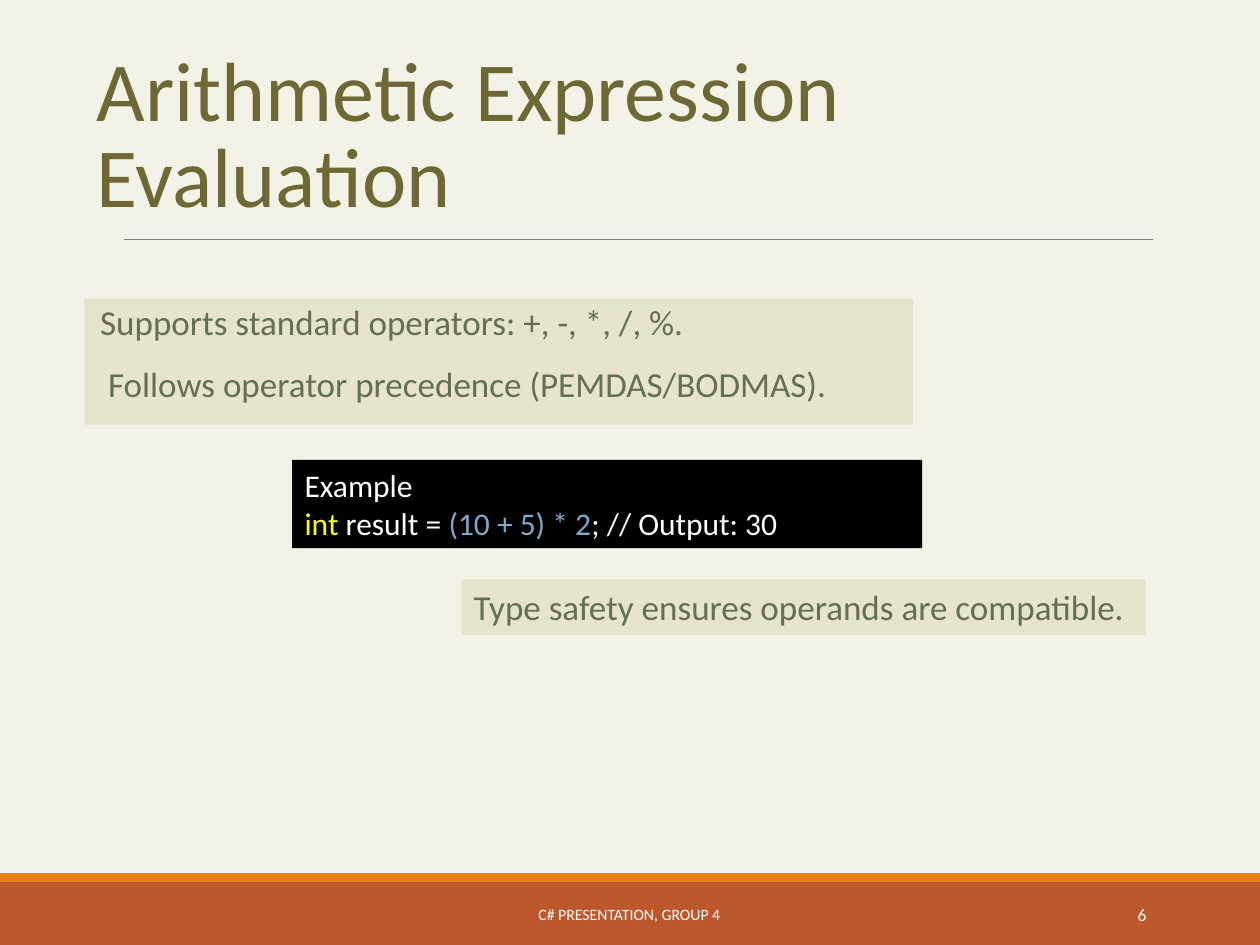
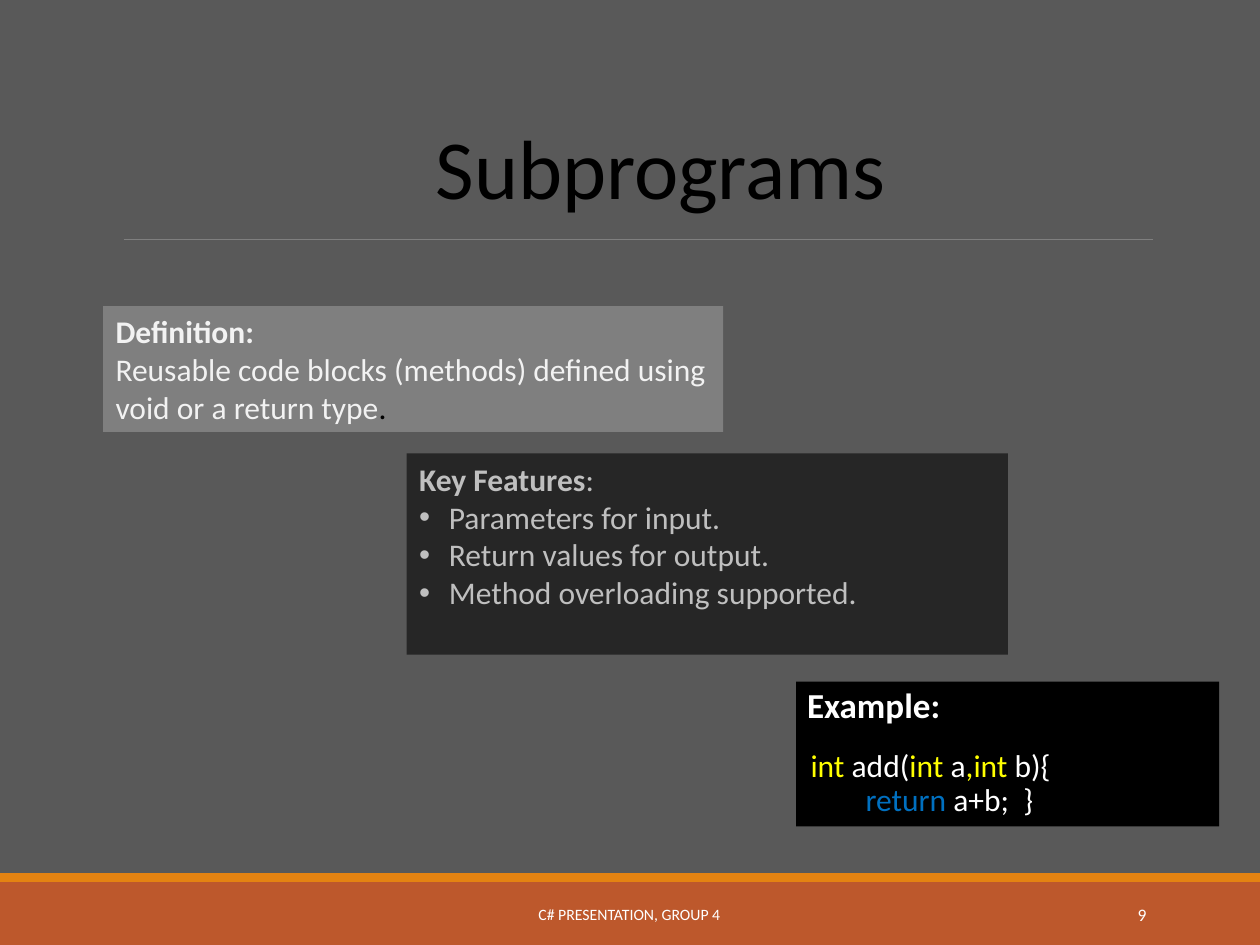
from pptx import Presentation
from pptx.dml.color import RGBColor
from pptx.enum.shapes import MSO_CONNECTOR, MSO_SHAPE
from pptx.enum.text import MSO_ANCHOR, PP_ALIGN
from pptx.oxml.ns import qn
from pptx.util import Cm, Pt
from lxml.etree import SubElement

FONT = "Calibri"
WIDTH, HEIGHT = 25.4, 19.05
WHITE, BLACK, YELLOW = "FFFFFF", "000000", "FFFF00"
SAND, MOSS, OLIVE = "E7E4CC", "637052", "6D6834"
PALE, SILVER, NUMBER_BLUE, KEYWORD_BLUE = "F2F2F2", "BFBFBF", "7EA9CA", "0070C0"
RULE = "7F7F7F"

BANDS = [((0, 17.78, WIDTH, 1.27), "BD582C"), ((0, 17.6, WIDTH, 0.18), "E48312")]
FOOTER = "C# PRESENTATION, GROUP 4"
FOOTER_AT = (7.67, 17.93, 10.03, 1.02)
NUMBER_AT = (20.62, 17.93, 2.74, 1.02)
LOOSE = dict(line=0.9, after=2)


def para(*runs, **options):
    return runs, options


SLIDES = [
    dict(
        background="F3F2E6",
        number="6",
        title="Arithmetic Expression Evaluation",
        title_at=(1.7, 2.54, 22.68, 2.11),
        title_color=OLIVE,
        title_margin=0,
        boxes=[
            dict(at=(1.7, 6.02, 16.71, 2.54), fill=SAND, size=20, inset=0, paragraphs=[
                para(("Supports standard operators: +, -, *, /, %.", MOSS), margin=0.32, **LOOSE),
                para(("Follows operator precedence (PEMDAS/BODMAS).", MOSS),
                     margin=0.48, before=12, **LOOSE),
            ]),
            dict(at=(5.89, 9.27, 12.7, 1.78), fill=BLACK, size=18, paragraphs=[
                para(("Example", WHITE)),
                para(("int ", YELLOW), ("result = ", WHITE), ("(10 + 5) * 2", NUMBER_BLUE),
                     ("; // Output: 30", WHITE)),
            ]),
            dict(at=(9.3, 11.68, 13.79, 1.12), fill=SAND, size=20, paragraphs=[
                para(("Type safety ensures operands are compatible.", MOSS)),
            ]),
        ],
    ),
    dict(
        background="595959",
        number="9",
        title="Subprograms",
        title_at=(2.41, 2.39, 22.68, 2.11),
        title_color=BLACK,
        title_margin=6.12,
        boxes=[
            dict(at=(16.05, 13.74, 8.53, 2.92), fill=BLACK, size=18, inset=0, paragraphs=[
                para(("Example:", WHITE, True), size=20, margin=0.22, **LOOSE),
                para(("int", YELLOW), (" add(", WHITE), ("int", YELLOW), (" a", WHITE),
                     (",int ", YELLOW), ("b){", WHITE), margin=0.29, before=12, line=0.9),
                para(("return", KEYWORD_BLUE), (" a+b;  }", WHITE), margin=1.4, **LOOSE),
            ]),
            dict(at=(2.08, 6.17, 12.5, 2.54), fill="7F7F7F", size=18, paragraphs=[
                para(("Definition:", PALE, True)),
                para(("Reusable code blocks (methods) defined using void or a return type", PALE),
                     (".", BLACK)),
            ]),
            dict(at=(8.2, 9.14, 12.12, 4.06), fill="262626", size=18, paragraphs=[
                para(("Key Features", SILVER, True), (":", SILVER)),
                *(para((feature, SILVER), margin=0.6, bullet=True) for feature in (
                    "Parameters for input.",
                    "Return values for output.",
                    "Method overloading supported.",
                )),
            ]),
        ],
    ),
]


def color(value):
    return RGBColor.from_string(value)


def lengths(values):
    return [Cm(value) for value in values]


def set_indent(paragraph, margin, bullet):
    properties = paragraph._p.get_or_add_pPr()
    properties.set("marL", str(Cm(margin)))
    properties.set("indent", str(-Cm(margin) if bullet else 0))
    if bullet:
        SubElement(properties, qn("a:buFont")).set("typeface", "Arial")
        SubElement(properties, qn("a:buChar")).set("char", "•")


def write(shape, paragraphs, size, inset=0.25, anchor=MSO_ANCHOR.TOP):
    frame = shape.text_frame
    frame.word_wrap = True
    frame.vertical_anchor = anchor
    frame.margin_left = frame.margin_right = Cm(inset)
    frame.margin_top = frame.margin_bottom = Cm(0.13)
    for index, (runs, options) in enumerate(paragraphs):
        paragraph = frame.add_paragraph() if index else frame.paragraphs[0]
        paragraph.alignment = options.get("align", PP_ALIGN.LEFT)
        paragraph.line_spacing = options.get("line", 1.0)
        paragraph.space_before = Pt(options.get("before", 0))
        paragraph.space_after = Pt(options.get("after", 0))
        set_indent(paragraph, options.get("margin", 0), options.get("bullet", False))
        for text, text_color, *bold in runs:
            run = paragraph.add_run()
            run.text = text
            run.font.name = FONT
            run.font.size = Pt(options.get("size", size))
            run.font.bold = bool(bold)
            run.font.color.rgb = color(text_color)


def add_text(slide, at, paragraph, size, anchor):
    write(slide.shapes.add_textbox(*lengths(at)), [paragraph], size, anchor=anchor)


def add_box(slide, at, fill):
    shape = slide.shapes.add_shape(MSO_SHAPE.RECTANGLE, *lengths(at))
    shape.shadow.inherit = False
    shape.fill.solid()
    shape.fill.fore_color.rgb = color(fill)
    shape.line.fill.background()
    return shape


def add_frame(slide, content):
    slide.background.fill.solid()
    slide.background.fill.fore_color.rgb = color(content["background"])
    for at, fill in BANDS:
        add_box(slide, at, fill)
    rule = slide.shapes.add_connector(MSO_CONNECTOR.STRAIGHT, *lengths((2.49, 4.83, 23.24, 4.83)))
    rule.line.color.rgb = color(RULE)
    rule.line.width = Pt(0.5)
    SubElement(rule._element.spPr, qn("a:effectLst"))
    title = para((content["title"], content["title_color"]),
                 line=0.85, margin=content["title_margin"])
    add_text(slide, content["title_at"], title, 48, MSO_ANCHOR.BOTTOM)
    add_text(slide, FOOTER_AT, para((FOOTER, WHITE), align=PP_ALIGN.CENTER), 9, MSO_ANCHOR.MIDDLE)
    add_text(slide, NUMBER_AT, para((content["number"], WHITE), align=PP_ALIGN.RIGHT),
             10, MSO_ANCHOR.MIDDLE)


def main():
    presentation = Presentation()
    presentation.slide_width, presentation.slide_height = Cm(WIDTH), Cm(HEIGHT)
    for content in SLIDES:
        slide = presentation.slides.add_slide(presentation.slide_layouts[6])
        add_frame(slide, content)
        for box in content["boxes"]:
            shape = add_box(slide, box["at"], box["fill"])
            write(shape, box["paragraphs"], box["size"], box.get("inset", 0.25))
    presentation.save("out.pptx")


if __name__ == "__main__":
    main()
